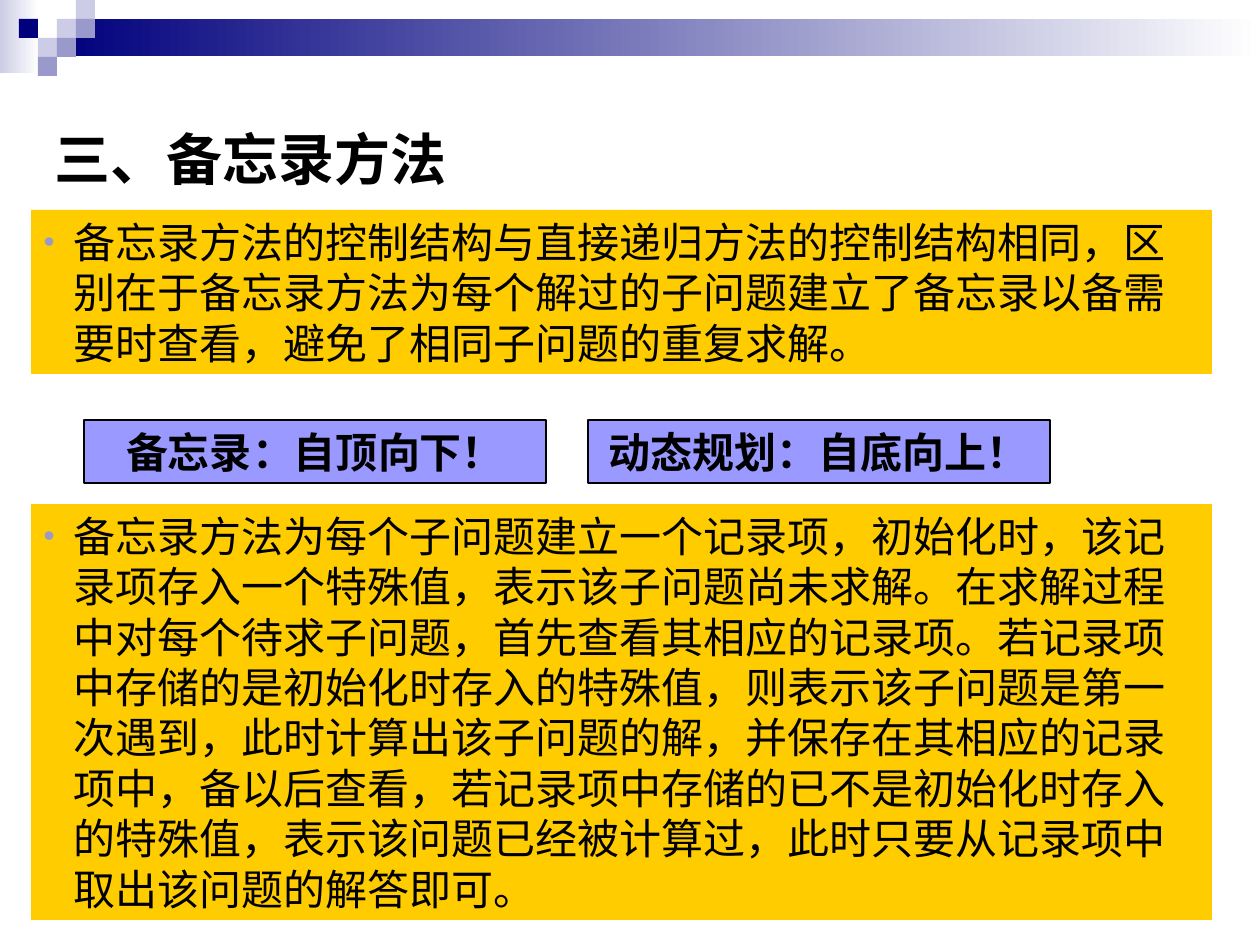
"""Build the slide on the memo method."""
from dataclasses import dataclass

from lxml.etree import SubElement
from pptx import Presentation
from pptx.dml.color import RGBColor
from pptx.enum.lang import MSO_LANGUAGE_ID as Lang
from pptx.enum.shapes import MSO_SHAPE as Shape
from pptx.enum.text import MSO_ANCHOR as Anchor, MSO_AUTO_SIZE as AutoSize, PP_ALIGN as Align
from pptx.oxml.ns import qn
from pptx.util import Emu, Pt

COLORS = {
    "navy": "00007D", "mid": "9999CC", "light": "CCCCE6", "white": "FFFFFF",
    "yellow": "FFCC00", "violet": "9999FF", "black": "000000",
}
PX = 914400 / 126
CELL = 19
HANG = 30


@dataclass
class Box:
    x: int
    y: int
    w: int
    h: int
    text: str = ""


@dataclass
class Tile:
    col: int
    row: int
    color: str


BANDS = [(Box(0, 0, 39, 73), "light"), (Box(57, 19, 1203, 37), "navy")]
TILES = [
    Tile(2, 1, "light"), Tile(3, 0, "light"), Tile(3, 1, "mid"), Tile(1, 2, "light"),
    Tile(0, 1, "navy"), Tile(2, 2, "mid"), Tile(1, 3, "mid"),
]
TITLE = Box(42, 116, 1071, 84, "三、备忘录方法")
LISTS = [
    Box(31, 210, 1181, 164,
        "备忘录方法的控制结构与直接递归方法的控制结构相同，区别在于备忘录方法为每个解过的子问题"
        "建立了备忘录以备需要时查看，避免了相同子问题的重复求解。"),
    Box(31, 504, 1181, 416,
        "备忘录方法为每个子问题建立一个记录项，初始化时，该记录项存入一个特殊值，表示该子问题"
        "尚未求解。在求解过程中对每个待求子问题，首先查看其相应的记录项。若记录项中存储的是"
        "初始化时存入的特殊值，则表示该子问题是第一次遇到，此时计算出该子问题的解，并保存在其"
        "相应的记录项中，备以后查看，若记录项中存储的已不是初始化时存入的特殊值，表示该问题"
        "已经被计算过，此时只要从记录项中取出该问题的解答即可。"),
]
LABELS = [
    Box(84, 420, 462, 63, "备忘录：自顶向下！"),
    Box(588, 420, 462, 63, "动态规划：自底向上！"),
]


def emu(px: int) -> Emu:
    return Emu(round(px * PX))


def rgb(name: str) -> RGBColor:
    return RGBColor.from_string(COLORS[name])


def place(sp, box: Box) -> None:
    sp.left, sp.top, sp.width, sp.height = map(emu, (box.x, box.y, box.w, box.h))


def add_rect(s, box: Box, fill: str, fade: bool = False):
    sp = s.shapes.add_shape(Shape.RECTANGLE, *map(emu, (box.x, box.y, box.w, box.h)))
    sp.shadow.inherit = False
    sp.line.fill.background()
    if fade:
        sp.fill.gradient()
        sp.fill.gradient_angle = 0
        for stop, name in zip(sp.fill.gradient_stops, (fill, "white")):
            stop.color.rgb = rgb(name)
    else:
        sp.fill.solid()
        sp.fill.fore_color.rgb = rgb(fill)
    return sp


def add_bullet(p) -> None:
    pPr = p._p.get_or_add_pPr()
    pPr.set("marL", str(emu(HANG)))
    pPr.set("indent", str(-emu(HANG)))
    SubElement(SubElement(pPr, qn("a:buClr")), qn("a:srgbClr"), val=COLORS["mid"])
    SubElement(pPr, qn("a:buSzPct"), val="75000")
    SubElement(pPr, qn("a:buFont"), typeface="Arial")
    SubElement(pPr, qn("a:buChar"), char="•")


def write(sp, text: str, size: int = 24, bold: bool = False, align=Align.LEFT,
          anchor=Anchor.MIDDLE, wrap: bool = True, bullet: bool = False) -> None:
    tf = sp.text_frame
    tf.auto_size = AutoSize.NONE
    tf.word_wrap, tf.vertical_anchor = wrap, anchor
    p = tf.paragraphs[0]
    if bullet:
        add_bullet(p)
    p.alignment = align
    p.space_before = Pt(0)
    p.line_spacing = Pt(size * 1.2)
    r = p.add_run()
    r.text = text
    r.font.name, r.font.size, r.font.bold = "Arial", Pt(size), bold
    r.font.color.rgb = rgb("black")
    r.font.language_id = Lang.SIMPLIFIED_CHINESE
    SubElement(r.font._element, qn("a:ea"), typeface="Arial")


def main() -> None:
    prs = Presentation()
    prs.slide_width, prs.slide_height = emu(1260), emu(945)
    s = prs.slides.add_slide(prs.slide_layouts[3])
    title, *bodies = s.placeholders
    for box, color in BANDS:
        add_rect(s, box, color, fade=True)
    for tile in TILES:
        add_rect(s, Box(CELL * (tile.col + 1), CELL * tile.row, CELL, CELL), tile.color)
    place(title, TITLE)
    write(title, TITLE.text, size=32, bold=True)
    for sp, box in zip(bodies, LISTS):
        place(sp, box)
        sp.fill.solid()
        sp.fill.fore_color.rgb = rgb("yellow")
        write(sp, box.text, anchor=Anchor.TOP, bullet=True)
    for box in LABELS:
        sp = add_rect(s, box, "violet")
        sp.line.color.rgb = rgb("black")
        sp.line.width = Pt(0.75)
        write(sp, box.text, bold=True, align=Align.CENTER, wrap=False)
    prs.save("out.pptx")


if __name__ == "__main__":
    main()
